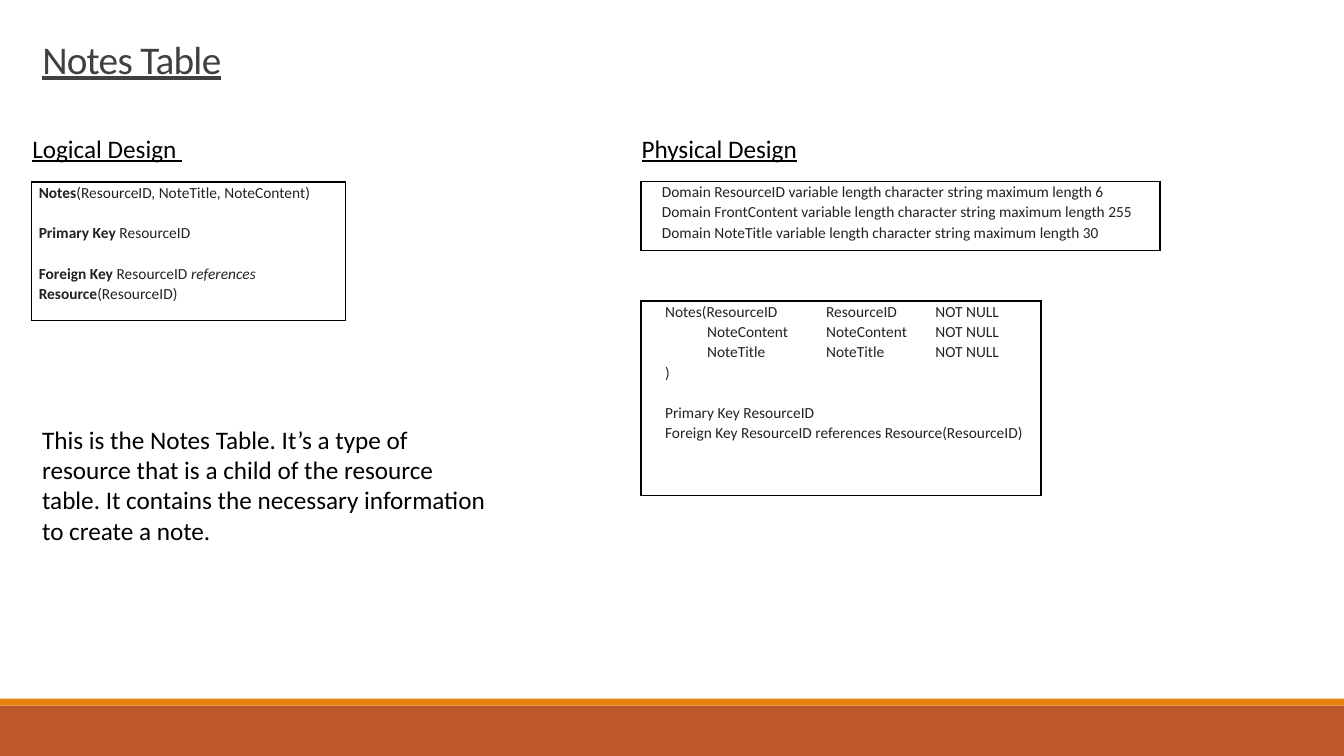
from lxml.etree import SubElement
from pptx import Presentation
from pptx.dml.color import RGBColor
from pptx.enum.shapes import MSO_SHAPE as Preset
from pptx.enum.text import MSO_ANCHOR as Anchor, PP_ALIGN as Align
from pptx.oxml import parse_xml
from pptx.oxml.ns import nsdecls, qn
from pptx.util import Pt

COLORS = {
    "footer": "BD582C",
    "accent": "E48312",
    "title": "404040",
    "text": "000000",
    "cell": "222222",
    "border": "000000",
}
FONT = "Calibri"
BLANK_LINE = 14.4
COLUMN_STOPS = (30, 115, 193)


def color(name):
    return RGBColor.from_string(COLORS[name])


def add_run(paragraph, text, size=18, fill="text", bold=False, italic=False,
            underline=False, spacing=None):
    run = paragraph.add_run()
    run.text = text
    font = run.font
    font.name = FONT
    font.size = Pt(size)
    font.bold = bold
    font.italic = italic
    font.underline = underline
    font.color.rgb = color(fill)
    if spacing is not None:
        run._r.get_or_add_rPr().set("spc", str(round(spacing * 100)))


def place(shape, left, top, width, height):
    shape.left, shape.top = Pt(left), Pt(top)
    shape.width, shape.height = Pt(width), Pt(height)


def add_title(slide, text, *box):
    title = slide.shapes.title
    place(title, *box)
    title.text_frame.vertical_anchor = Anchor.MIDDLE
    paragraph = title.text_frame.paragraphs[0]
    paragraph.alignment = Align.LEFT
    paragraph.line_spacing = 0.85
    add_run(paragraph, text, size=28, fill="title", underline=True, spacing=-0.5)


def add_text(slide, text, *box, **style):
    frame = slide.shapes.add_textbox(*map(Pt, box)).text_frame
    frame.word_wrap = True
    add_run(frame.paragraphs[0], text, **style)


def add_bar(slide, fill, *box):
    bar = slide.shapes.add_shape(Preset.RECTANGLE, *map(Pt, box))
    bar.shadow.inherit = False
    bar.fill.solid()
    bar.fill.fore_color.rgb = color(fill)
    bar.line.fill.background()


def add_borders(cell):
    properties = cell._tc.get_or_add_tcPr()
    for index, side in enumerate(("lnL", "lnR", "lnT", "lnB")):
        properties.insert(index, parse_xml(
            f'<a:{side} {nsdecls("a")} w="{Pt(1)}"><a:solidFill>'
            f'<a:srgbClr val="{COLORS["border"]}"/></a:solidFill></a:{side}>'))


def add_tab_stops(paragraph, stops):
    tabs = SubElement(paragraph._p.get_or_add_pPr(), qn("a:tabLst"))
    for stop in stops:
        SubElement(tabs, qn("a:tab"), pos=str(Pt(stop)), algn="l")


def add_design_table(slide, lines, *box, inset=5, gaps=(), stops=()):
    table = slide.shapes.add_table(1, 1, *map(Pt, box)).table
    table.first_row = table.horz_banding = False
    cell = table.cell(0, 0)
    cell.fill.background()
    add_borders(cell)
    cell.margin_left, cell.margin_right = Pt(inset), Pt(5)
    cell.margin_top = cell.margin_bottom = 0
    frame = cell.text_frame
    for index, line in enumerate(lines):
        paragraph = frame.add_paragraph() if index else frame.paragraphs[0]
        paragraph.line_spacing = 1.07
        if index in gaps:
            paragraph.space_before = Pt(BLANK_LINE)
        if stops:
            add_tab_stops(paragraph, stops)
        for text, style in line:
            add_run(paragraph, text, size=11, fill="cell", **style)


def plain(*lines):
    return [[(line, {})] for line in lines]


def main():
    presentation = Presentation()
    presentation.slide_width, presentation.slide_height = Pt(960), Pt(540)
    slide = presentation.slides.add_slide(presentation.slide_layouts[5])

    add_bar(slide, "footer", 0, 504, 960, 36)
    add_bar(slide, "accent", 0, 499, 960, 5)
    add_title(slide, "Notes Table", 23, 26, 242, 37)
    add_text(slide, "Logical Design ", 16, 91.5, 194, 29, underline=True)
    add_text(slide, "Physical Design", 451.2, 91.5, 260, 29, underline=True)
    add_text(slide, "This is the Notes Table. It’s a type of resource that is a "
             "child of the resource table. It contains the necessary "
             "information to create a note.", 23, 299.5, 336, 94.5)

    bold, italic = {"bold": True}, {"italic": True}
    logical = [
        [("Notes", bold), ("(ResourceID, NoteTitle, NoteContent)", {})],
        [("Primary Key", bold), (" ResourceID", {})],
        [("Foreign Key", bold), (" ResourceID ", {}), ("references ", italic),
         ("Resource", bold), ("(ResourceID)", {})],
    ]
    add_design_table(slide, logical, 22.7, 130, 224, 99, gaps=(1, 2))

    domains = plain(
        "Domain ResourceID variable length character string maximum length 6",
        "Domain FrontContent variable length character string maximum length 255",
        "Domain NoteTitle variable length character string maximum length 30",
    )
    add_design_table(slide, domains, 457.8, 129.5, 370.8, 49.5, inset=15)

    physical = plain(
        "Notes(ResourceID\tResourceID\tNOT NULL",
        "\tNoteContent\tNoteContent\tNOT NULL",
        "\tNoteTitle\tNoteTitle\tNOT NULL",
        ")",
        "Primary Key ResourceID",
        "Foreign Key ResourceID references Resource(ResourceID)",
    )
    add_design_table(slide, physical, 457.8, 215, 285.8, 139, inset=17.3,
                     gaps=(4,), stops=COLUMN_STOPS)

    presentation.save("out.pptx")


if __name__ == "__main__":
    main()
